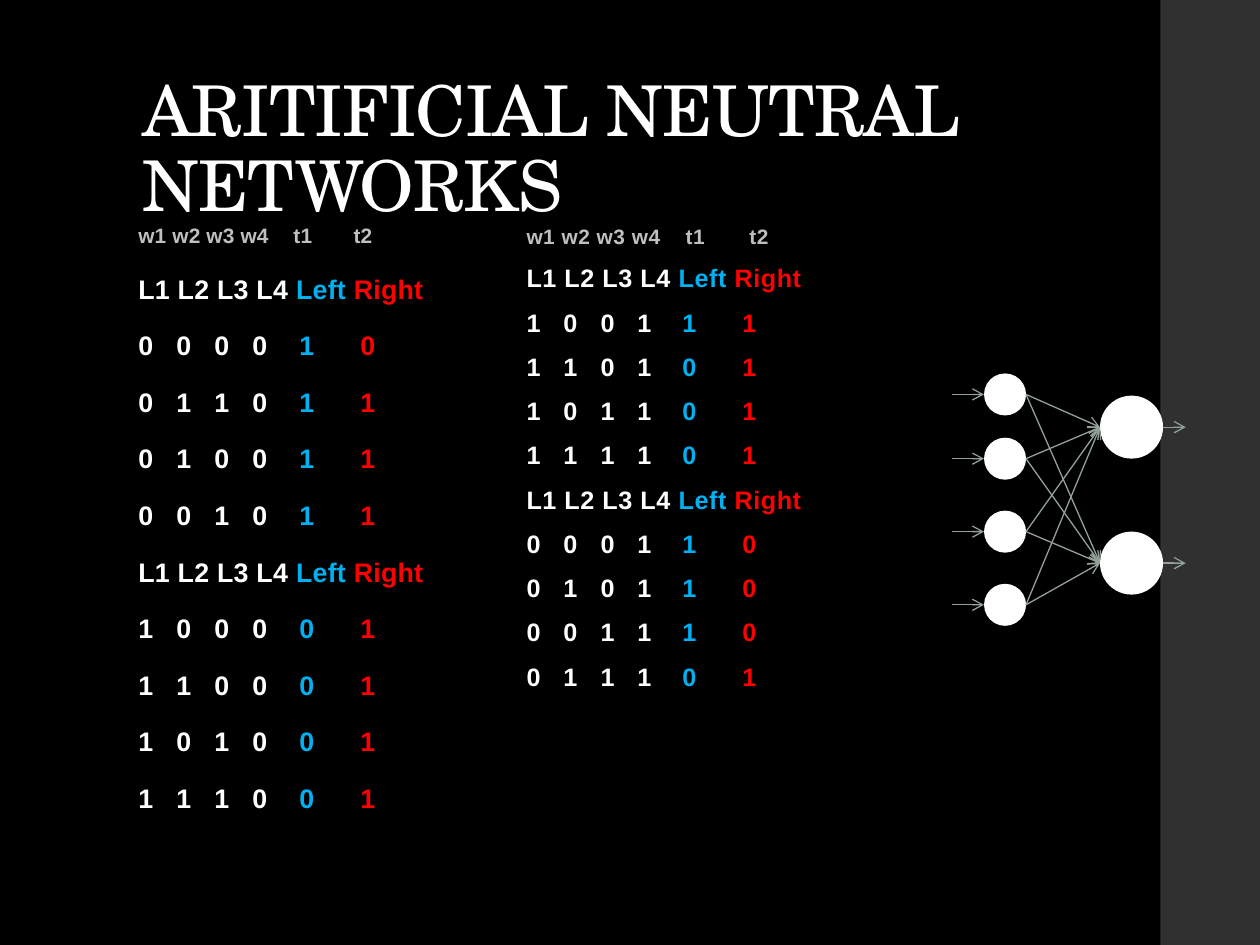
from dataclasses import dataclass

from lxml.etree import SubElement
from pptx import Presentation
from pptx.dml.color import RGBColor
from pptx.enum.shapes import MSO_CONNECTOR, MSO_SHAPE
from pptx.enum.text import MSO_ANCHOR
from pptx.oxml.ns import qn
from pptx.util import Pt


@dataclass(frozen=True)
class Theme:
    background = RGBColor.from_string("000000")
    sidebar = RGBColor.from_string("303030")
    white = RGBColor.from_string("FFFFFF")
    grey = RGBColor.from_string("BFBFBF")
    left = RGBColor.from_string("00B0F0")
    right = RGBColor.from_string("FF0000")
    arrow = RGBColor.from_string("93A299")
    title_font = "TeX Gyre Schola"
    body_font = "Arial"
    title_size = 40
    weights_size = 11.9


theme = Theme()


def add_run(paragraph, text, font_name, size, color, spacing, bold=False):
    """Add one run; spacing is the letter spacing in points."""
    run = paragraph.add_run()
    run.text = text
    run.font.name = font_name
    run.font.size = Pt(size)
    run.font.bold = bold
    run.font.color.rgb = color
    run.font._element.set("spc", str(round(spacing * 100)))


def add_filled_shape(kind, left, top, width, height, color):
    shape = slide.shapes.add_shape(kind, Pt(left), Pt(top), Pt(width), Pt(height))
    shape.shadow.inherit = False
    shape.fill.solid()
    shape.fill.fore_color.rgb = color
    shape.line.fill.background()


presentation = Presentation()
presentation.slide_width = Pt(720)
presentation.slide_height = Pt(540)
slide = presentation.slides.add_slide(presentation.slide_layouts[6])
slide.background.fill.solid()
slide.background.fill.fore_color.rgb = theme.background

add_filled_shape(MSO_SHAPE.RECTANGLE, 663.1, 0, 56.9, 540, theme.sidebar)

# Title
title_box = slide.shapes.add_textbox(Pt(74.2), Pt(28.8), Pt(572.4), Pt(104.4))
title_box.text_frame.word_wrap = True
title_box.text_frame.vertical_anchor = MSO_ANCHOR.BOTTOM
title = title_box.text_frame.paragraphs[0]
title.line_spacing = 0.9
add_run(title, "ARITIFICIAL NEUTRAL NETWORKS", theme.title_font,
        theme.title_size, theme.white, -0.5)

# Truth tables: four inputs, then the left and right outputs
WEIGHTS, LABELS = "weights", "labels"
columns = [
    dict(box=(72, 126, 210, 342), size=15.3, spacing=0.1,
         line_spacing=0.85, before=14.7, after=2,
         weight_tabs=(88.6, 123), value_tabs=(21.7, 43.4, 65.1, 92, 126.9),
         rows=[WEIGHTS, LABELS, "000010", "011011", "010011", "001011",
               LABELS, "100001", "110001", "101001", "111001"]),
    dict(box=(293.8, 126, 216, 360), size=14.4, spacing=0.3,
         line_spacing=0.9, before=3.7, after=6,
         weight_tabs=(90.9, 127.4), value_tabs=(21.1, 42.3, 63.4, 89.1, 123.4),
         rows=[WEIGHTS, LABELS, "100111", "110101", "101101", "111101",
               LABELS, "000110", "010110", "001110", "011101"]),
]
for column in columns:
    table_box = slide.shapes.add_textbox(*map(Pt, column["box"]))
    frame = table_box.text_frame
    frame.word_wrap = True
    for index, row in enumerate(column["rows"]):
        paragraph = frame.add_paragraph() if index else frame.paragraphs[0]
        paragraph.line_spacing = column["line_spacing"]
        paragraph.space_before = Pt(column["before"] if index else 0)
        paragraph.space_after = Pt(column["after"])

        size, tabs = column["size"], ()
        if row == WEIGHTS:
            size, tabs = theme.weights_size, column["weight_tabs"]
            parts = [("w1 w2 w3 w4\tt1\tt2", theme.grey)]
        elif row == LABELS:
            parts = [("L1 L2 L3 L4 ", theme.white), ("Left ", theme.left),
                     ("Right", theme.right)]
        else:
            tabs = column["value_tabs"]
            parts = [("\t".join(row[:4]) + "\t", theme.white),
                     (row[4] + "\t", theme.left), (row[5], theme.right)]
        if tabs:
            tab_list = SubElement(paragraph._p.get_or_add_pPr(), qn("a:tabLst"))
            for position in tabs:
                SubElement(tab_list, qn("a:tab"), pos=str(int(Pt(position))), algn="l")
        for text, color in parts:
            add_run(paragraph, text, theme.body_font, size, color,
                    column["spacing"], bold=True)

# Network: every input neuron feeds both output neurons
input_left, input_size = 562.3, 24
output_left, output_size = 628.6, 36
input_centres = [225.4, 262.1, 303.8, 345.6]
output_centres = [244.1, 321.8]
input_right = input_left + input_size
output_right = output_left + output_size

for left, size, centres in [(input_left, input_size, input_centres),
                            (output_left, output_size, output_centres)]:
    for centre in centres:
        add_filled_shape(MSO_SHAPE.OVAL, left, centre - size / 2, size, size, theme.white)

arrows = [(input_left - 18, y, input_left, y) for y in input_centres]
arrows += [(input_right, start, output_left, end)
           for end in output_centres for start in input_centres]
arrows += [(output_right, y, output_right + 13, y) for y in output_centres]
for ends in arrows:
    connector = slide.shapes.add_connector(MSO_CONNECTOR.STRAIGHT, *map(Pt, ends))
    connector.line.color.rgb = theme.arrow
    connector.line.width = Pt(0.75)
    SubElement(connector.line._get_or_add_ln(), qn("a:tailEnd"), type="arrow")
    SubElement(connector._element.spPr, qn("a:effectLst"))

presentation.save("out.pptx")
